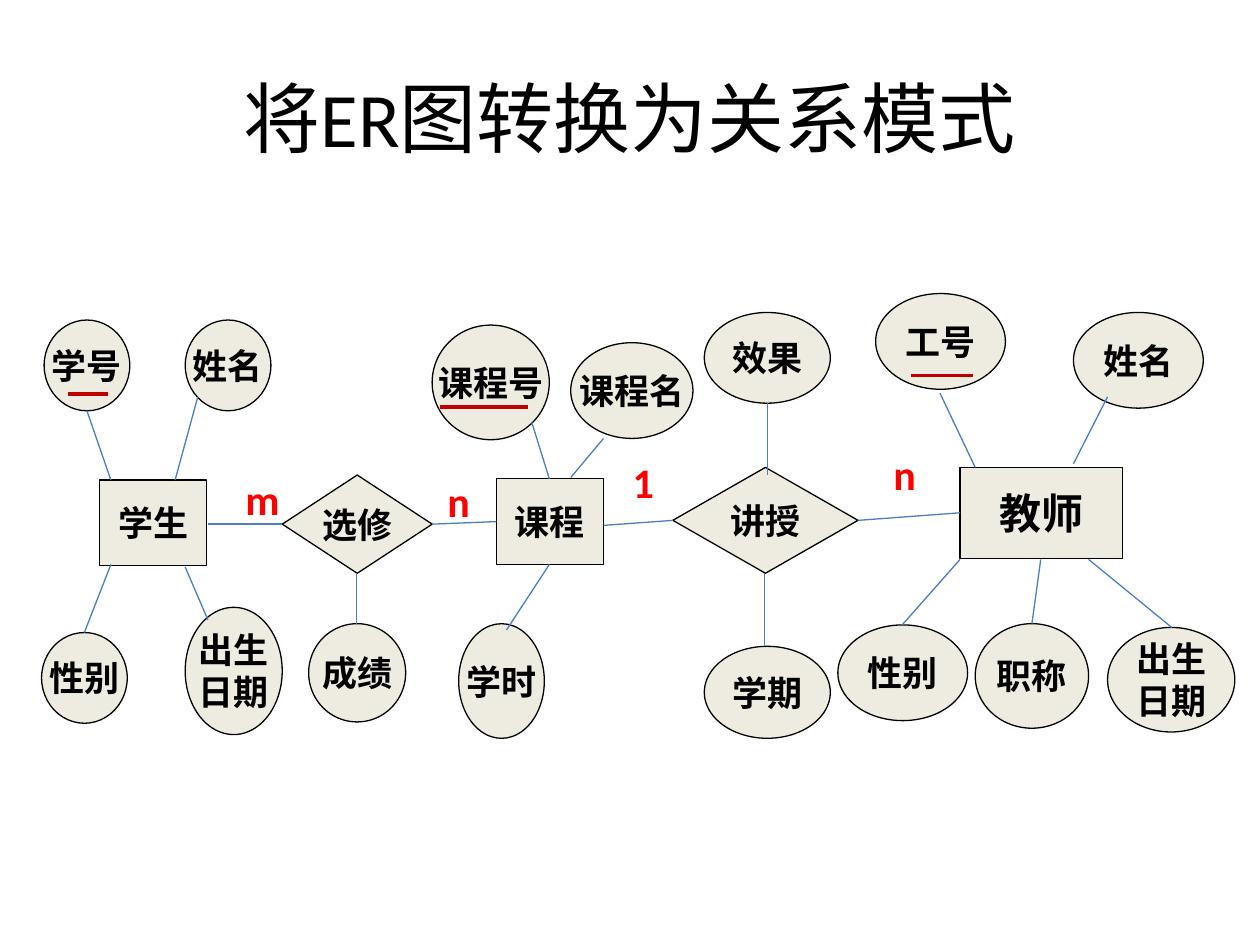
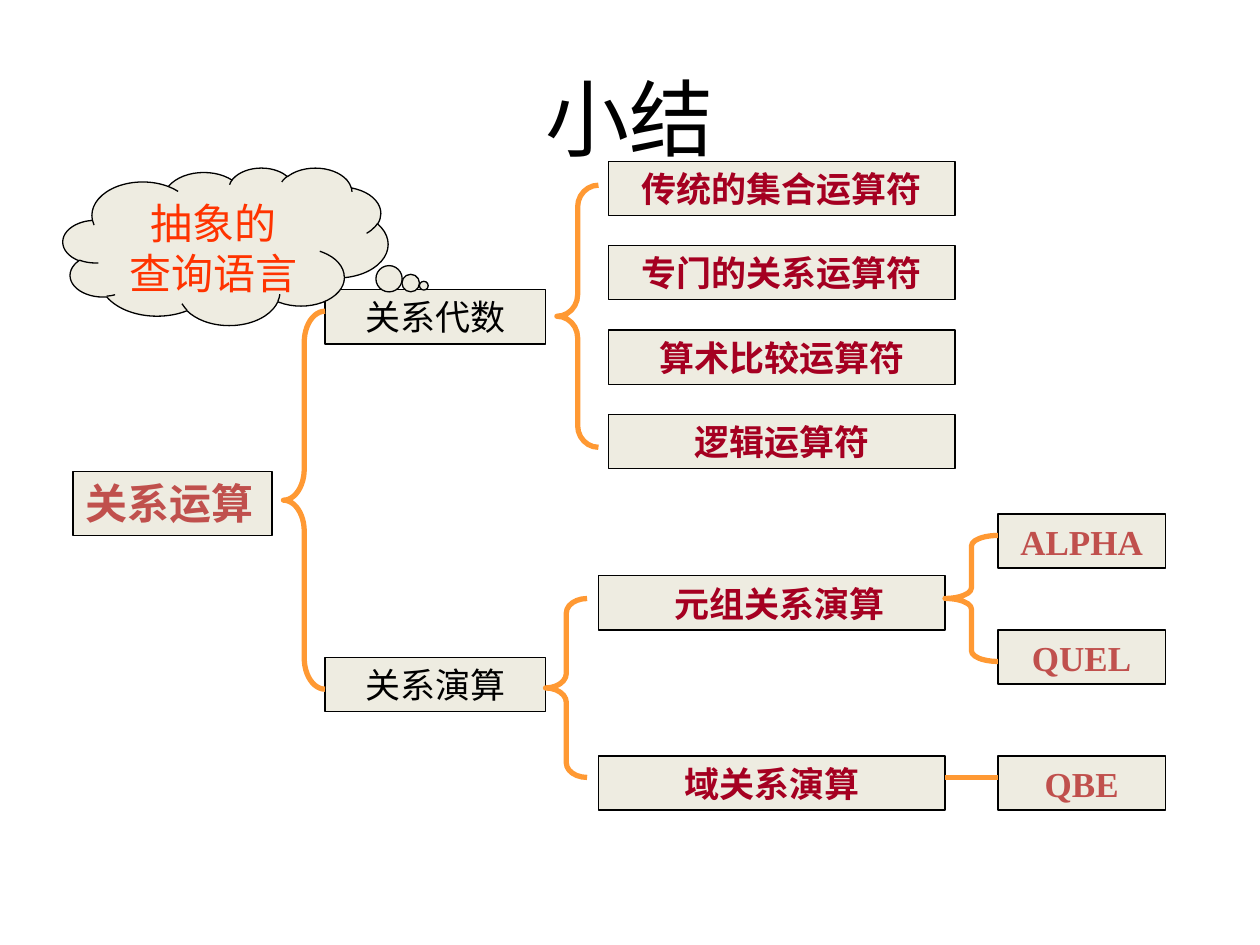
"""Builds two slides: an ER diagram and a summary tree of relational operations."""
from dataclasses import dataclass
from typing import NamedTuple

from lxml import etree
from pptx import Presentation
from pptx import util as u
from pptx.dml import color
from pptx.enum import shapes, text
from pptx.oxml import ns

SHAPE = shapes.MSO_SHAPE
ALIGN = text.PP_ALIGN
ANCHOR = text.MSO_ANCHOR
BOX, OVAL, GEM = SHAPE.FLOWCHART_PROCESS, SHAPE.OVAL, SHAPE.DIAMOND


@dataclass(frozen=True)
class Theme:
    ink: str = "000000"
    fill: str = "EEECE1"
    link: str = "4B7EBC"
    key: str = "C00000"
    ratio: str = "FF0000"
    brace: str = "FF9933"
    wine: str = "A50021"
    brick: str = "C0504D"
    flame: str = "FF3300"
    head: str = "Calibri"
    node: str = "Arial"
    tree: str = "Times New Roman"
    title: float = 44
    final: float = 48
    large: float = 24
    body: float = 20
    thin: float = 0.75
    under: float = 2.25
    thick: float = 3


THEME = Theme()


class Style(NamedTuple):
    font: str
    size: float
    tint: str
    bold: bool = False
    align: ALIGN = ALIGN.CENTER
    anchor: ANCHOR = ANCHOR.MIDDLE
    wrap: bool = True
    indent: float = 0.1


class Node(NamedTuple):
    label: str
    left: float
    top: float
    width: float
    height: float
    kind: SHAPE = OVAL


class Line(NamedTuple):
    x1: float
    y1: float
    x2: float
    y2: float
    tint: str = THEME.link
    width: float = THEME.thin


class Brace(NamedTuple):
    left: float
    top: float
    width: float
    height: float
    curve: float


PLAIN = Style(THEME.node, THEME.body, THEME.ink, bold=True, wrap=False)
LARGE = PLAIN._replace(size=THEME.large)
RATIO = Style(THEME.head, THEME.large, THEME.ratio, bold=True)
TOPIC = Style(THEME.tree, THEME.body, THEME.ink, anchor=ANCHOR.TOP)
TERM = TOPIC._replace(tint=THEME.wine, bold=True)
TUPLE = TERM._replace(align=ALIGN.LEFT, indent=0.6)
TONGUE = TERM._replace(tint=THEME.brick)
ROOT = TONGUE._replace(size=THEME.large, align=ALIGN.LEFT)
CLOUD = TOPIC._replace(size=THEME.large, tint=THEME.flame)

NODES = [
    Node("课程", 3.94, 3.8, 0.85, 0.68, BOX),
    Node("选修", 2.24, 3.77, 1.19, 0.78, GEM),
    Node("学生", 0.79, 3.81, 0.85, 0.68, BOX),
    Node("性别", 0.33, 5.02, 0.68, 0.72),
    Node("学号", 0.35, 2.54, 0.68, 0.72),
    Node("姓名", 1.47, 2.54, 0.68, 0.72),
    Node("出生\n日期", 1.47, 4.82, 0.77, 1.01),
    Node("学时", 3.64, 4.95, 0.68, 0.91),
    Node("课程号", 3.43, 2.58, 0.93, 0.91),
    Node("课程名", 4.53, 2.72, 0.97, 0.76),
    Node("成绩", 2.45, 4.95, 0.77, 0.78),
    Node("讲授", 5.34, 3.71, 1.47, 0.84, GEM),
    Node("学期", 5.59, 5.13, 1, 0.73),
    Node("效果", 5.59, 2.48, 1, 0.72),
    Node("性别", 6.65, 4.96, 1.03, 0.76),
    Node("工号", 6.95, 2.33, 1.03, 0.76),
    Node("姓名", 8.52, 2.48, 1.03, 0.76),
    Node("出生\n日期", 8.79, 4.98, 1.01, 0.83),
    Node("职称", 7.74, 4.95, 0.9, 0.83),
]
TEACHER = Node("教师", 7.62, 3.71, 1.29, 0.72, BOX)

LINES = [
    Line(0.69, 3.26, 0.88, 3.81),
    Line(1.39, 3.81, 1.57, 3.15),
    Line(0.88, 4.48, 0.67, 5.02),
    Line(1.47, 4.5, 1.65, 4.92),
    Line(4.36, 3.8, 4.22, 3.35),
    Line(4.53, 3.79, 4.79, 3.48),
    Line(4.36, 4.48, 4.02, 5),
    Line(1.65, 4.16, 2.24, 4.16),
    Line(3.43, 4.16, 3.94, 4.14),
    Line(2.83, 4.55, 2.83, 4.95),
    Line(4.79, 4.17, 5.34, 4.13),
    Line(6.07, 4.55, 6.07, 5.13),
    Line(6.09, 3.2, 6.09, 3.77),
    Line(7.46, 3.12, 7.74, 3.71),
    Line(8.52, 3.68, 8.79, 3.15),
    Line(7.62, 4.44, 7.16, 4.96),
    Line(8.64, 4.44, 9.3, 4.98),
    Line(8.26, 4.44, 8.19, 4.95),
    Line(6.81, 4.13, 7.62, 4.07),
    Line(3.49, 3.23, 4.19, 3.23, THEME.key, 1.75),
    Line(0.54, 3.13, 0.86, 3.13, THEME.key, THEME.under),
    Line(7.23, 2.98, 7.72, 2.98, THEME.key, THEME.under),
]

RATIOS = [
    Node("m", 1.85, 3.68, 0.3, 0.55),
    Node("n", 3.43, 3.71, 0.42, 0.52),
    Node("1", 4.88, 3.54, 0.45, 0.56),
    Node("n", 6.97, 3.5, 0.42, 0.52),
]

BRACES = [
    Brace(2.25, 2.47, 0.33, 3, 0.75),
    Brace(4.42, 1.47, 0.33, 2.08, 0.52),
    Brace(4.33, 4.75, 0.33, 1.42, 0.35),
    Brace(7.5, 4.25, 0.42, 1, 0.2),
]


def rgb(tint: str) -> color.RGBColor:
    """Turn a hex string into a colour."""
    return color.RGBColor.from_string(tint)


def write(shape, words: str, style: Style) -> None:
    """Put styled words into a shape."""
    frame = shape.text_frame
    frame.text = words
    frame.word_wrap = style.wrap
    frame.vertical_anchor = style.anchor
    frame.margin_left = u.Inches(style.indent)
    for para in frame.paragraphs:
        para.alignment = style.align
        para.font.name = style.font
        para.font.size = u.Pt(style.size)
        para.font.bold = style.bold
        para.font.color.rgb = rgb(style.tint)


def place(slide, kind: SHAPE, *spot: float):
    """Add a preset shape without shadow at a spot in inches."""
    shape = slide.shapes.add_shape(kind, *map(u.Inches, spot))
    shape.shadow.inherit = False
    return shape


def ink(line, tint: str, width: float) -> None:
    """Set the colour and width of an outline."""
    line.color.rgb = rgb(tint)
    line.width = u.Pt(width)


def draw_node(slide, node: Node, style: Style):
    """Draw a filled shape with its label."""
    shape = place(slide, node.kind, *node[1:5])
    shape.fill.solid()
    shape.fill.fore_color.rgb = rgb(THEME.fill)
    ink(shape.line, THEME.ink, THEME.thin)
    write(shape, node.label, style)
    return shape


def draw_text(slide, node: Node, style: Style) -> None:
    """Draw a text box."""
    write(slide.shapes.add_textbox(*map(u.Inches, node[1:5])), node.label, style)


def draw_line(slide, line: Line) -> None:
    """Draw a straight connector without shadow."""
    wire = slide.shapes.add_connector(
        shapes.MSO_CONNECTOR.STRAIGHT, *map(u.Inches, line[:4]))
    ink(wire.line, line.tint, line.width)
    etree.SubElement(wire._element.spPr, ns.qn("a:effectLst"))


def draw_brace(slide, brace: Brace) -> None:
    """Draw a left brace."""
    shape = place(slide, SHAPE.LEFT_BRACE, *brace[:4])
    shape.adjustments[0] = brace.curve
    shape.fill.background()
    ink(shape.line, THEME.brace, THEME.thick)


def add_slide(deck, title: str, size: float):
    """Add a blank slide with a centred title."""
    slide = deck.slides.add_slide(deck.slide_layouts[6])
    draw_text(slide, Node(title, 0.5, 0.3, 9, 1.25),
              Style(THEME.head, size, THEME.ink))
    return slide


def draw_model(deck) -> None:
    """Build the ER diagram slide."""
    slide = add_slide(deck, "将ER图转换为关系模式", THEME.title)
    for node in NODES:
        draw_node(slide, node, PLAIN)
    draw_node(slide, TEACHER, LARGE)
    for line in LINES:
        draw_line(slide, line)
    for ratio in RATIOS:
        draw_text(slide, ratio, RATIO)


def draw_tree(deck) -> None:
    """Build the summary tree slide."""
    slide = add_slide(deck, "小结", THEME.final)

    def bar(label: str, left: float, top: float, width: float,
            style: Style, height: float = 0.43) -> None:
        """Draw one box of the tree."""
        draw_node(slide, Node(label, left, top, width, height,
                              SHAPE.RECTANGLE), style)

    bar("关系运算", 0.58, 3.74, 1.58, ROOT, 0.51)
    for label, top in (("关系代数", 2.3), ("关系演算", 5.22)):
        bar(label, 2.58, top, 1.75, TOPIC)
    terms = ("传统的集合运算符", "专门的关系运算符", "算术比较运算符", "逻辑运算符")
    for row, label in enumerate(terms):
        bar(label, 4.83, 1.28 + 0.67 * row, 2.75, TERM)
    bar("元组关系演算", 4.75, 4.57, 2.75, TUPLE)
    bar("域关系演算", 4.75, 6, 2.75, TERM)
    for label, top in (("ALPHA", 4.08), ("QUEL", 5), ("QBE", 6)):
        bar(label, 7.92, top, 1.33, TONGUE)
    for brace in BRACES:
        draw_brace(slide, brace)
    draw_line(slide, Line(7.5, 6.17, 7.92, 6.17, THEME.brace, THEME.thick))
    cloud = draw_node(slide, Node("抽象的\n查询语言", 0.5, 1.33, 2.58, 1.25,
                                  SHAPE.CLOUD_CALLOUT), CLOUD)
    cloud.adjustments[0], cloud.adjustments[1] = 0.61, 0.25


def main() -> None:
    """Build and save the deck."""
    deck = Presentation()
    deck.slide_width, deck.slide_height = u.Inches(10), u.Inches(7.5)
    draw_model(deck)
    draw_tree(deck)
    deck.save("out.pptx")


if __name__ == "__main__":
    main()
